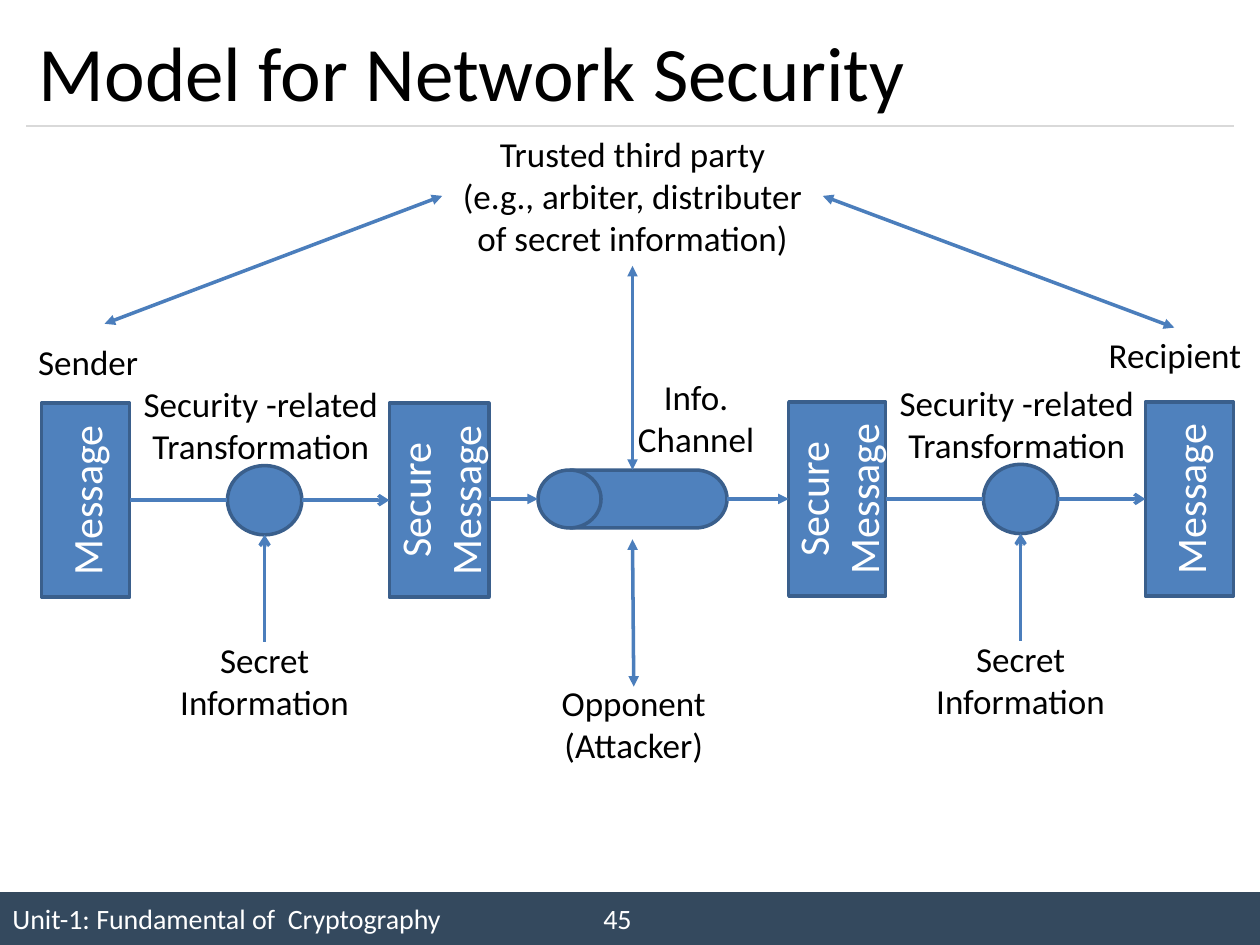
from pptx import Presentation
from pptx.dml.color import RGBColor
from pptx.enum.shapes import MSO_CONNECTOR as Line, MSO_SHAPE as Shape
from pptx.enum.text import MSO_ANCHOR as Anchor, PP_ALIGN as Align
from pptx.oxml.ns import qn
from pptx.util import Inches, Pt
from lxml.etree import SubElement

prs = Presentation()
prs.slide_width, prs.slide_height = Inches(10), Inches(7.5)
COL, ROW = prs.slide_width / 100, prs.slide_height / 75
FONT = "Calibri"
BLUE, EDGE, WIRE = "4F81BD", "3A5F8C", "4B7EBC"
BLACK, WHITE, NAVY, GREY = "000000", "FFFFFF", "34495E", "D9D9D9"


def color(value):
    return RGBColor.from_string(value)


def place(x, y, w, h):
    return int(x * COL), int(y * ROW), int(w * COL), int(h * ROW)


def write(sp, lines, size, ink, align=Align.CENTER, anchor=Anchor.TOP):
    tf = sp.text_frame
    tf.word_wrap = True
    tf.vertical_anchor = anchor
    for i, line in enumerate(lines):
        p = tf.paragraphs[0] if i == 0 else tf.add_paragraph()
        p.alignment = align
        r = p.add_run()
        r.text = line
        r.font.name, r.font.size = FONT, Pt(size)
        r.font.color.rgb = color(ink)
    return tf


def label(s, box, *lines):
    write(s.shapes.add_textbox(*place(*box)), lines, 20, BLACK)


def solid(s, kind, box, fill=BLUE, edge=EDGE):
    sp = s.shapes.add_shape(kind, *place(*box))
    sp.shadow.inherit = False
    sp.fill.solid()
    sp.fill.fore_color.rgb = color(fill)
    if edge:
        sp.line.color.rgb = color(edge)
        sp.line.width = Pt(2)
    else:
        sp.line.fill.background()
    return sp


def wire(s, x1, y1, x2, y2, head=None, tail=None, ink=WIRE, width=2):
    cx = s.shapes.add_connector(Line.STRAIGHT, *place(x1, y1, x2, y2))
    cx.line.color.rgb = color(ink)
    cx.line.width = Pt(width)
    props = cx._element.spPr
    for tag, kind in (("a:headEnd", head), ("a:tailEnd", tail)):
        if kind:
            SubElement(props.find(qn("a:ln")), qn(tag), type=kind)
    SubElement(props, qn("a:effectLst"))


def message_block(s, box, *lines):
    sp = solid(s, Shape.RECTANGLE, box)
    tf = write(sp, lines, 24, WHITE, anchor=Anchor.MIDDLE)
    tf._txBody.bodyPr.set("vert", "vert270")


def header(s, box):
    x, y, w, h = box
    write(s.shapes.add_textbox(*place(*box)), ["Model for Network Security"],
          44, BLACK, Align.LEFT, Anchor.MIDDLE)
    wire(s, x, y + h, x + w, y + h, ink=GREY, width=0.75)


def footer(s, box):
    sp = solid(s, Shape.RECTANGLE, box, NAVY, None)
    props = sp.text_frame.paragraphs[0]._p.get_or_add_pPr()
    tabs = SubElement(props, qn("a:tabLst"))
    SubElement(tabs, qn("a:tab"), pos=str(int(46.9 * COL)), algn="l")
    write(sp, ["Unit-1: Fundamental of  Cryptography\t45"],
          16, WHITE, Align.LEFT, Anchor.MIDDLE)


def transformation(s, box, center, before, after):
    x, y, w, h = box
    mid = y + h / 2
    rx, ry = 2.95, 2.75
    left, right = center - 10.7, center + 9.9
    message_block(s, (x, y, left - x, h), *before)
    message_block(s, (right, y, x + w - right, h), *after)
    solid(s, Shape.OVAL, (center - rx, mid - ry, 2 * rx, 2 * ry))
    wire(s, left, mid, center - rx, mid)
    wire(s, center + rx, mid, right, mid, tail="arrow")
    wire(s, center, mid + ry, center, mid + ry + 8.5, head="arrow")
    label(s, (center - 7.7, y + 18.2, 15.4, 7.7), "Secret", "Information")
    label(s, (center - 11.9, y - 2.1, 23.2, 7.7),
          "Security -related Transformation")


def channel(s, box):
    x, y, w, h = box
    mid = y + h / 2
    drum = solid(s, Shape.FLOWCHART_DIRECT_ACCESS_STORAGE,
                 (x + 3.9, mid - 2.3, 15, 4.6))
    drum.rotation = 180
    wire(s, x, mid, x + 3.9, mid, tail="triangle")
    wire(s, x + 18.9, mid, x + w, mid, tail="triangle")
    label(s, (x + 10.6, y - 2.6, 11.7, 7.7), "Info.", "Channel")


def third_party(s, box):
    x, y, w, h = box
    mid = y + h / 2
    label(s, box, "Trusted third party", "(e.g., arbiter, distributer",
          "of secret information)")
    ends = {"head": "triangle", "tail": "triangle"}
    wire(s, 8.3, 25.7, x, mid, **ends)
    wire(s, x + w, mid, 93.2, 26, **ends)
    wire(s, x + w / 2, y + h, x + w / 2, 37.3, **ends)


def opponent(s, box):
    x, y, w, h = box
    label(s, box, "Opponent", "(Attacker)")
    wire(s, x + w / 2 - 0.1, y - 10.8, x + w / 2, y + 0.9,
         head="triangle", tail="triangle")


def main():
    s = prs.slides.add_slide(prs.slide_layouts[6])
    message, secure = ["Message"], ["Secure", "Message"]
    footer(s, (0, 70.8, 100, 4.2))
    header(s, (2.1, 1.2, 95.8, 8.8))
    transformation(s, (3.3, 32, 35.5, 15.4), 21, message, secure)
    transformation(s, (62.6, 31.9, 35.3, 15.4), 81, secure, message)
    label(s, (2, 26.5, 10, 4.4), "Sender")
    label(s, (86.8, 26, 12.9, 4.4), "Recipient")
    channel(s, (38.8, 31.9, 23.8, 15.4))
    third_party(s, (35.1, 10, 30.2, 11.1))
    opponent(s, (43.3, 53.6, 14, 7.7))
    prs.save("out.pptx")


if __name__ == "__main__":
    main()
